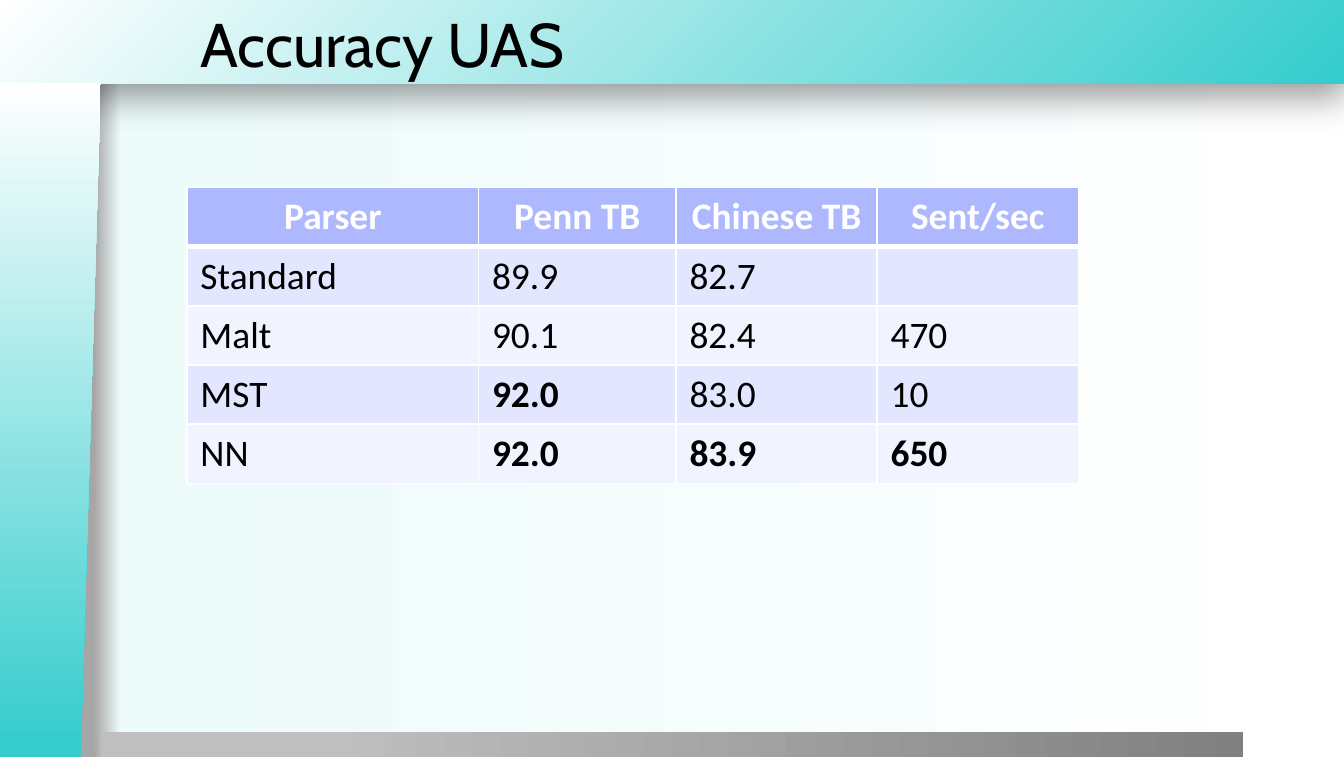
import pptx
import pptx.util
import pptx.dml.color
import pptx.enum.shapes
import pptx.enum.text
import pptx.oxml
import pptx.oxml.ns

Pt = pptx.util.Pt
SHAPE = pptx.enum.shapes.MSO_SHAPE
ALIGN = pptx.enum.text.PP_ALIGN
NS = pptx.oxml.ns.nsdecls("a")

COLORS = {
    "teal": "34CCCC", "white": "FFFFFF", "black": "000000",
    "edge": "A6A6A6", "mist": "EDFBFB", "silver": "BFBFBF", "gray": "808080",
    "header": "ADB8FF", "odd": "E3E6FF", "even": "F1F3FF",
}
SLIDE_SIZE = (720, 405.36)
TITLE = "Accuracy UAS"
ROWS = [
    ("Parser", "Penn TB", "Chinese TB", "Sent/sec"),
    ("Standard", "89.9", "82.7", ""),
    ("Malt", "90.1", "82.4", "470"),
    ("MST", "92.0", "83.0", "10"),
    ("NN", "92.0", "83.9", "650"),
]
BEST = {(3, 1), (4, 1), (4, 2), (4, 3)}
LEFT = 100.2
TABLE_TOP = 100.4
COL_WIDTHS = (156.2, 105.8, 107.8, 107.8)
ROW_HEIGHT = 31.7
LINEAR = '<a:lin ang="0" scaled="0"/>'
CORNER = '<a:path path="circle"><a:fillToRect l="100000" t="100000"/></a:path>'
BACKGROUND = [(7, "edge"), (9, "mist"), (100, "white")]
BANDS = {
    "top": (SHAPE.RECTANGLE, (-0.5, 0, 720.5, 45), [(0, "teal"), (100, "white")], CORNER),
    "bottom": (SHAPE.RECTANGLE, (54, 392, 612, 14), [(20, "silver"), (100, "gray")], LINEAR),
    "side": (SHAPE.FLOWCHART_MANUAL_INPUT, (-153.6, 198, 361.2, 54),
             [(1, "teal"), (100, "white")], LINEAR),
}


def rgb(name):
    return pptx.dml.color.RGBColor.from_string(COLORS[name])


def set_gradient(owner, fill, stops, direction):
    fill.gradient()
    old = owner.element.xpath(".//a:gradFill")[0]
    gs = "".join(f'<a:gs pos="{pos * 1000}"><a:srgbClr val="{COLORS[c]}"/></a:gs>'
                 for pos, c in stops)
    new = pptx.oxml.parse_xml(f'<a:gradFill {NS} rotWithShape="1"><a:gsLst>{gs}</a:gsLst>'
                              f'{direction}</a:gradFill>')
    old.getparent().replace(old, new)


def set_font(r, **values):
    r.font.color.rgb = rgb(values.pop("color"))
    for key, value in values.items():
        setattr(r.font, key, value)


def set_borders(cell, top, bottom):
    tcPr = cell._tc.get_or_add_tcPr()
    for i, (side, width) in enumerate((("L", 1), ("R", 1), ("T", top), ("B", bottom))):
        tcPr.insert(i, pptx.oxml.parse_xml(
            f'<a:ln{side} {NS} w="{Pt(width)}"><a:solidFill>'
            f'<a:srgbClr val="{COLORS["white"]}"/></a:solidFill></a:ln{side}>'))


def add_bands(s):
    bands = {}
    for name, (kind, box, stops, direction) in BANDS.items():
        sp = s.shapes.add_shape(kind, *map(Pt, box))
        sp.shadow.inherit = False
        sp.line.fill.background()
        set_gradient(sp, sp.fill, stops, direction)
        bands[name] = sp
    bands["side"].rotation = 270
    bands["side"].element.spPr.xfrm.set("flipV", "1")
    effects = bands["top"].element.xpath(".//a:effectLst")[0]
    effects.append(pptx.oxml.parse_xml(
        f'<a:outerShdw {NS} blurRad="{Pt(20)}" dist="{Pt(6)}" dir="5400000" rotWithShape="0">'
        f'<a:srgbClr val="{COLORS["black"]}"><a:alpha val="40000"/></a:srgbClr></a:outerShdw>'))


def add_title(s):
    tf = s.shapes.add_textbox(Pt(LEFT), 0, Pt(567), Pt(46)).text_frame
    tf.word_wrap = True
    tf.vertical_anchor = pptx.enum.text.MSO_ANCHOR.MIDDLE
    r = tf.paragraphs[0].add_run()
    r.text = TITLE
    set_font(r, name="Cabin", size=Pt(33), color="black")


def add_scores(s):
    frame = s.shapes.add_table(len(ROWS), len(COL_WIDTHS), Pt(LEFT), Pt(TABLE_TOP),
                               Pt(sum(COL_WIDTHS)), Pt(ROW_HEIGHT * len(ROWS)))
    table = frame.table
    for column, width in zip(table.columns, COL_WIDTHS):
        column.width = Pt(width)
    for i, row in enumerate(ROWS):
        table.rows[i].height = Pt(ROW_HEIGHT)
        head = i == 0
        for j, text in enumerate(row):
            cell = table.cell(i, j)
            cell.fill.solid()
            cell.fill.fore_color.rgb = rgb("header" if head else "odd" if i % 2 else "even")
            set_borders(cell, 3 if i == 1 else 1, 3 if head else 1)
            p = cell.text_frame.paragraphs[0]
            p.alignment = ALIGN.CENTER if head else ALIGN.LEFT
            if text:
                r = p.add_run()
                r.text = text
                set_font(r, name="Calibri", size=Pt(20), bold=head or (i, j) in BEST,
                         color="white" if head else "black")


def main():
    prs = pptx.Presentation()
    prs.slide_width, prs.slide_height = map(Pt, SLIDE_SIZE)
    s = prs.slides.add_slide(prs.slide_layouts[6])
    set_gradient(s, s.background.fill, BACKGROUND, LINEAR)
    add_bands(s)
    add_title(s)
    add_scores(s)
    prs.save("out.pptx")


if __name__ == "__main__":
    main()
